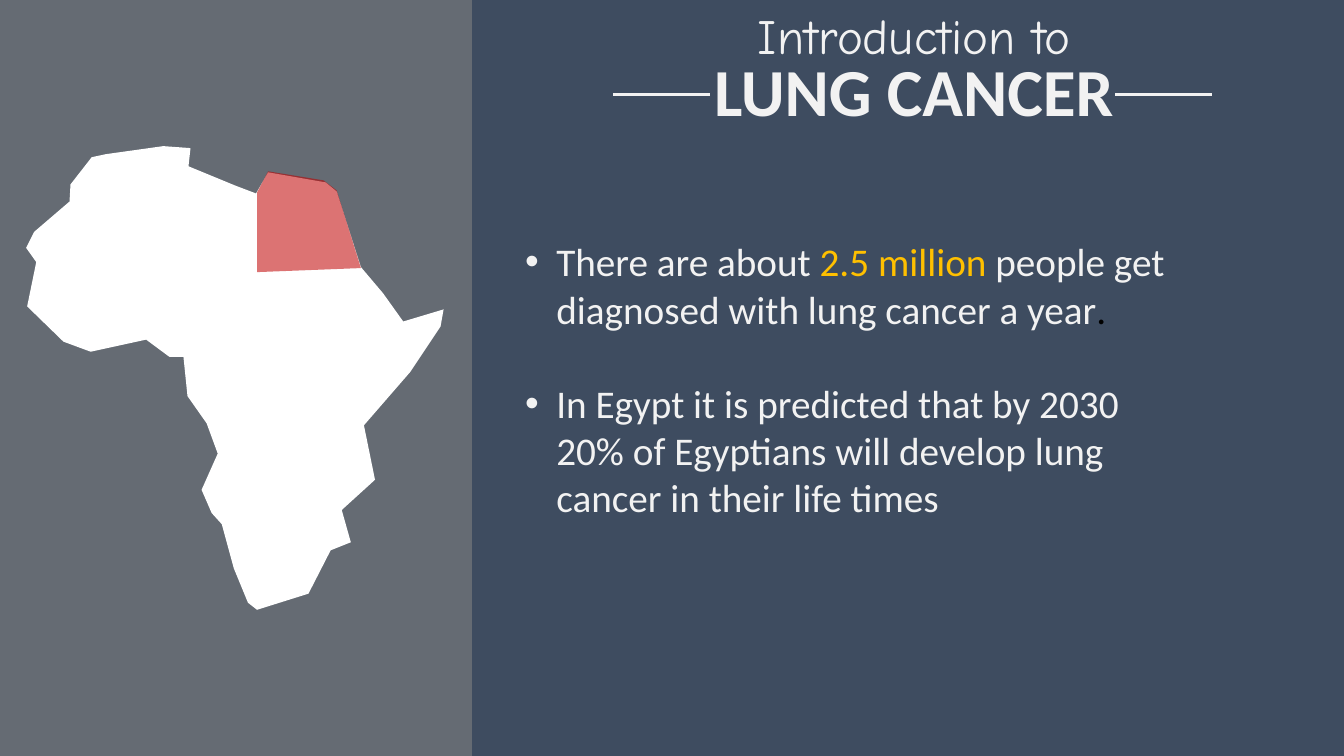
from dataclasses import dataclass

from lxml.etree import SubElement
from pptx import Presentation
from pptx.dml.color import RGBColor as RGB
from pptx.enum.shapes import MSO_CONNECTOR as CONNECTOR, MSO_SHAPE as SHAPE
from pptx.enum.text import MSO_ANCHOR as ANCHOR, PP_ALIGN as ALIGN
from pptx.oxml.ns import qn
from pptx.util import Inches, Pt


@dataclass(frozen=True)
class Theme:
    background: RGB = RGB.from_string("3E4C60")
    panel: RGB = RGB.from_string("808080")
    land: RGB = RGB.from_string("FFFFFF")
    egypt: RGB = RGB.from_string("C00000")
    text: RGB = RGB.from_string("F2F2F2")
    accent: RGB = RGB.from_string("FFC000")
    stop: RGB = RGB.from_string("000000")
    font: str = "Calibri"
    kicker_font: str = "Comic Neue"
    title_size: float = 48
    kicker_size: float = 35.1
    body_size: float = 28


THEME = Theme()

# Corners in inches, clockwise
AFRICA = [
    (1.05, 1.53), (1.62, 1.45), (1.89, 1.47), (1.87, 1.65), (2.33, 1.84),
    (2.54, 1.92), (2.66, 1.71), (3.23, 1.81), (3.34, 1.9), (3.58, 2.65),
    (3.8, 2.91), (4, 3.19), (4.4, 3.07), (4.37, 3.24), (4.07, 3.69),
    (3.61, 4.22), (3.72, 4.76), (3.39, 5.06), (3.48, 5.38), (3.28, 5.46),
    (3.06, 5.89), (2.55, 6.05), (2.46, 5.98), (2.32, 5.64), (2.2, 5.2),
    (2.1, 5.09), (2, 4.86), (2.16, 4.5), (2.05, 4.2), (1.86, 3.93),
    (1.82, 3.54), (1.68, 3.54), (1.45, 3.37), (0.9, 3.49), (0.63, 3.39),
    (0.27, 3.04), (0.36, 2.6), (0.26, 2.46), (0.34, 2.3), (0.69, 2),
    (0.7, 1.83), (0.91, 1.56),
]
EGYPT = [
    (2.55, 1.91), (2.66, 1.7), (3.21, 1.79), (3.34, 1.89), (3.58, 2.66), (2.55, 2.7),
]


def paint(shape, color, opacity=100):
    """Give a shape a plain fill, with opacity in percent, and no line or shadow."""
    shape.shadow.inherit = False
    shape.line.fill.background()
    shape.fill.solid()
    shape.fill.fore_color.rgb = color
    if opacity < 100:
        fill_color = shape._element.spPr.find(qn("a:solidFill"))[0]
        SubElement(fill_color, qn("a:alpha"), val=str(opacity * 1000))


def add_run(paragraph, text, size, color, font=THEME.font, bold=False):
    run = paragraph.add_run()
    run.text = text
    run.font.size = Pt(size)
    run.font.name = font
    run.font.bold = bold
    run.font.color.rgb = color


prs = Presentation()
prs.slide_width, prs.slide_height = Inches(13.33), Inches(7.5)
slide = prs.slides.add_slide(prs.slide_layouts[6])
slide.background.fill.solid()
slide.background.fill.fore_color.rgb = THEME.background
shapes = slide.shapes

# Map panel
panel = shapes.add_shape(SHAPE.RECTANGLE, 0, 0, Inches(4.68), prs.slide_height)
paint(panel, THEME.panel, 60)

for outline, color, opacity in [(AFRICA, THEME.land, 100), (EGYPT, THEME.egypt, 55)]:
    corners = [(Inches(x), Inches(y)) for x, y in outline]
    builder = shapes.build_freeform(*corners[0])
    builder.add_line_segments(corners[1:], close=True)
    paint(builder.convert_to_shape(), color, opacity)

# Heading with a rule on each side
for text, box, anchor, size, font, bold, spacing in [
    ("LUNG CANCER", (5.11, 0.56, 7.91, 0.77), ANCHOR.MIDDLE,
     THEME.title_size, THEME.font, True, 0.9),
    ("Introduction to", (5.91, 0, 6.32, 0.77), ANCHOR.TOP,
     THEME.kicker_size, THEME.kicker_font, False, 1.0),
]:
    heading = shapes.add_textbox(*map(Inches, box)).text_frame
    heading.word_wrap = True
    heading.vertical_anchor = anchor
    heading_line = heading.paragraphs[0]
    heading_line.alignment = ALIGN.CENTER
    heading_line.line_spacing = spacing
    add_run(heading_line, text, size, THEME.text, font, bold)

for left in (6.08, 11.06):
    rule = shapes.add_connector(CONNECTOR.STRAIGHT, Inches(left), Inches(0.94),
                                Inches(left + 0.96), Inches(0.94))
    rule.line.color.rgb = THEME.text
    rule.line.width = Pt(2.25)
    SubElement(rule._element.spPr, qn("a:effectLst"))

# Facts
FACTS = [
    [("There are about ", THEME.text), ("2.5 million ", THEME.accent),
     ("people get diagnosed with lung cancer a year", THEME.text), (".", THEME.stop)],
    [("In Egypt it is predicted that by 2030 20% of Egyptians will develop lung "
      "cancer in their life times", THEME.text)],
]
facts = shapes.add_textbox(Inches(5.11), Inches(2.31), Inches(6.7), Inches(3.87)).text_frame
facts.word_wrap = True
for index, fact in enumerate(FACTS):
    bullet = facts.add_paragraph() if index else facts.paragraphs[0]
    bullet.space_before = Pt(34 if index else 0)
    properties = bullet._p.get_or_add_pPr()
    properties.set("marL", str(Inches(0.31)))
    properties.set("indent", str(Inches(-0.31)))
    SubElement(properties, qn("a:buFont"), typeface="Arial")
    SubElement(properties, qn("a:buChar"), char="•")
    for text, color in fact:
        add_run(bullet, text, THEME.body_size, color)

prs.save("out.pptx")
